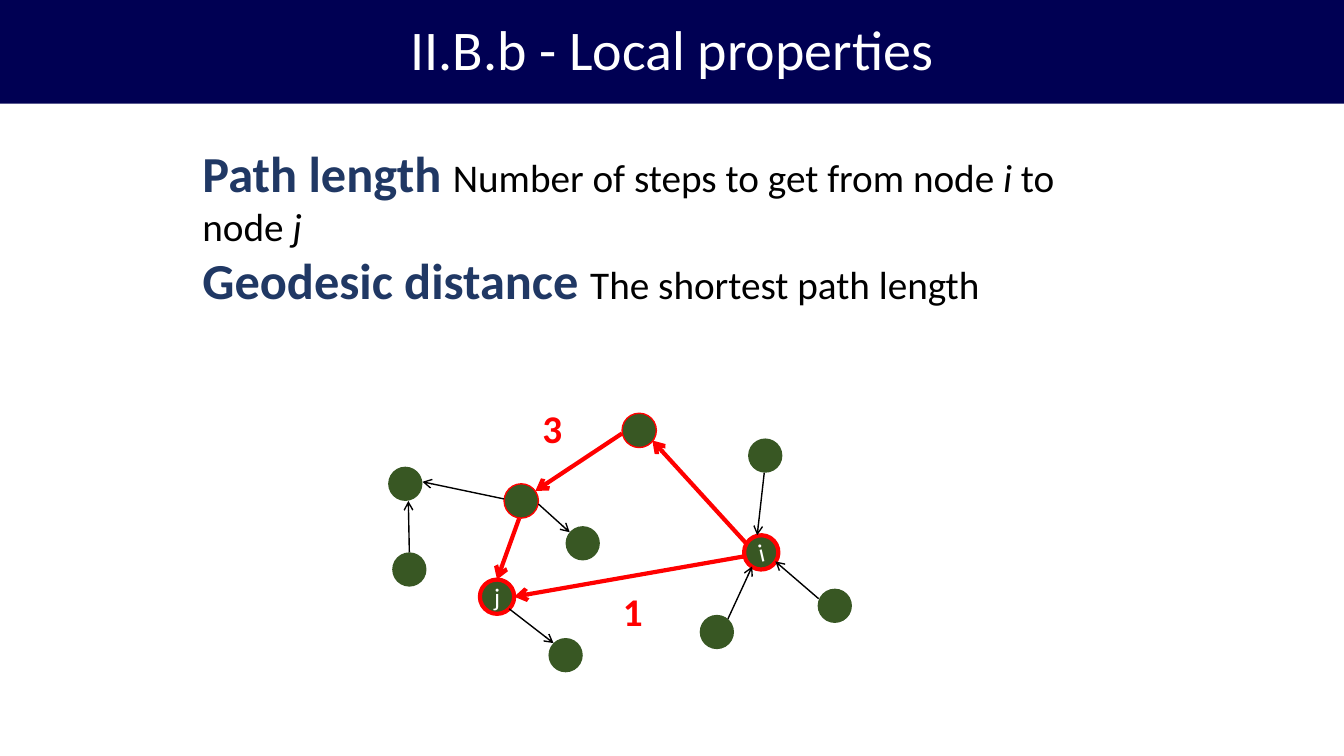
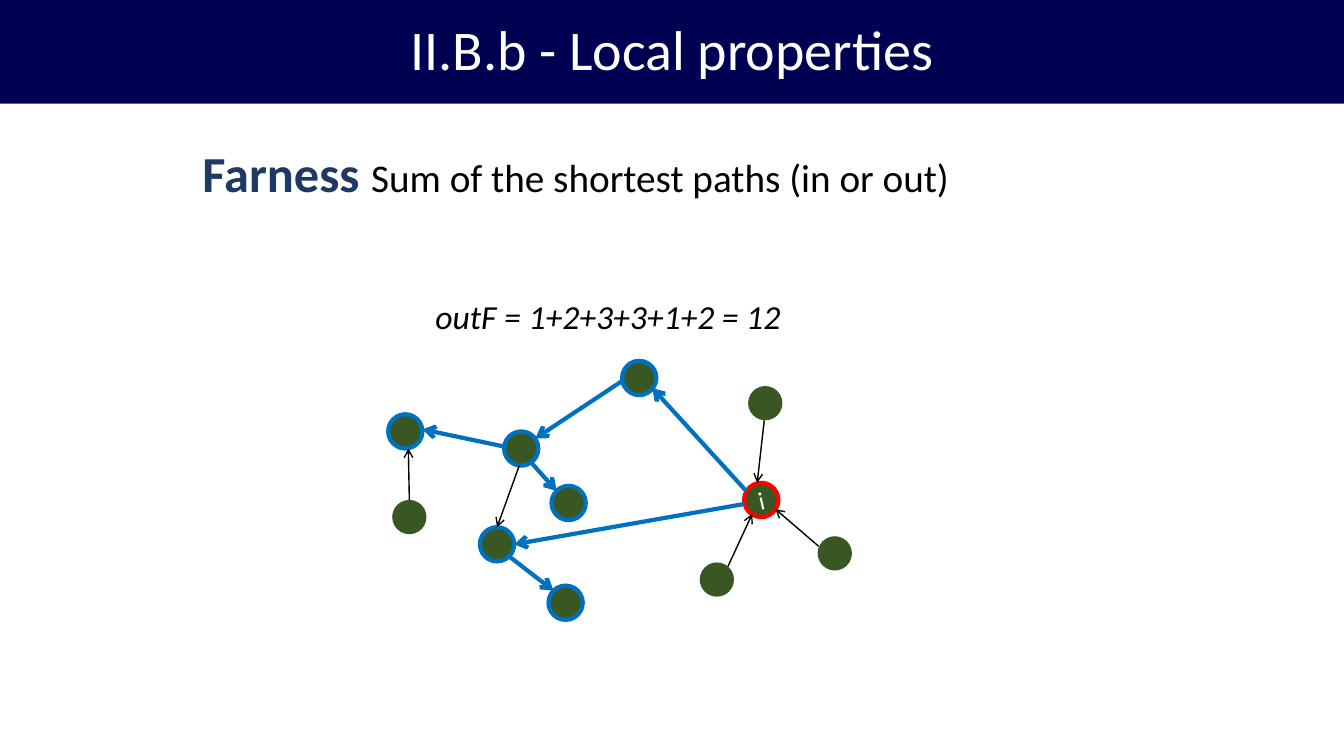
from lxml import etree
from pptx import Presentation
from pptx.dml.color import RGBColor
from pptx.enum.shapes import MSO_CONNECTOR, MSO_SHAPE
from pptx.enum.text import MSO_ANCHOR, PP_ALIGN
from pptx.oxml.ns import qn
from pptx.util import Inches, Pt

RECTANGLE, OVAL = MSO_SHAPE.RECTANGLE, MSO_SHAPE.OVAL
STRAIGHT = MSO_CONNECTOR.STRAIGHT
MIDDLE, LEFT, CENTER = MSO_ANCHOR.MIDDLE, PP_ALIGN.LEFT, PP_ALIGN.CENTER

COLORS = {"band": "000053", "term": "203864", "node": "385723", "text": "000000",
          "white": "FFFFFF", "red": "FF0000", "blue": "0070C0"}
FONT = "Calibri"
TITLE = "II.B.b - Local properties"
NODE_SIZE = 0.34
TEXT_LEFT, TEXT_WIDTH = 1.91, 9.36
THICK, THIN = 3, 1

# Network shared by both slides: left and top of each node
NODES = {
    "j": (4.76, 5.75), "below j": (5.44, 6.33), "below i": (6.94, 6.1),
    "i": (7.38, 5.31), "hub": (5, 4.8), "west": (3.85, 4.63),
    "southwest": (3.89, 5.48), "leaf": (5.61, 5.22), "top": (6.17, 4.1),
    "above i": (7.42, 4.35), "east": (8.11, 5.84),
}
TILTS = {"i": 347.1}
# Start and end of each arrow, on the rims of the two nodes
EDGES = {
    ("hub", "west"): ((5, 4.95), (4.19, 4.78)),
    ("southwest", "west"): ((4.06, 5.48), (4.05, 4.97)),
    ("hub", "j"): ((5.15, 5.14), (4.93, 5.75)),
    ("hub", "leaf"): ((5.34, 5), (5.65, 5.28)),
    ("top", "hub"): ((6.17, 4.3), (5.31, 4.87)),
    ("j", "below j"): ((5.05, 6.04), (5.49, 6.38)),
    ("i", "top"): ((7.4, 5.39), (6.47, 4.37)),
    ("below i", "i"): ((7.22, 6.14), (7.46, 5.62)),
    ("above i", "i"): ((7.58, 4.69), (7.51, 5.31)),
    ("east", "i"): ((8.12, 5.94), (7.69, 5.57)),
    ("i", "j"): ((7.38, 5.52), (5.1, 5.92)),
}

# Definitions: top, height, term, runs of (text, italic)
# Notes: left, top, width, height, text, format
SLIDES = [
    {
        "definitions": [
            (1.36, 1.18, "Path length ",
             [("Number of steps to get from node ", False), ("i", True),
              (" to node ", False), ("j", True)]),
            (2.42, 0.71, "Geodesic distance ", [("The shortest path length", False)]),
        ],
        "notes": [
            (5.28, 3.96, 0.55, 0.57, "3", {"size": 28, "color": "red", "bold": True}),
            (6.08, 5.78, 0.55, 0.57, "1", {"size": 28, "color": "red", "bold": True}),
        ],
        "shift": 0, "accent": "red", "labels": ("i", "j"),
        "rims": {"i": ("red", THICK), "j": ("red", THICK),
                 "hub": ("red", THIN), "top": ("red", THIN)},
        "marked": [("i", "top"), ("top", "hub"), ("hub", "j"), ("i", "j")],
        "moved_nodes": {}, "moved_edges": {},
    },
    {
        "definitions": [
            (1.36, 0.71, "Farness ", [("Sum of the shortest paths (in or out)", False)]),
        ],
        "notes": [
            (4.22, 2.89, 3.84, 0.5, "outF = 1+2+3+3+1+2 = 12", {"size": 24, "italic": True}),
        ],
        "shift": -0.52, "accent": "blue", "labels": ("i",),
        "rims": {"i": ("red", THICK)}
        | {name: ("blue", THICK) for name in ("j", "below j", "hub", "west", "leaf", "top")},
        "marked": [("i", "top"), ("top", "hub"), ("hub", "west"), ("hub", "leaf"),
                   ("i", "j"), ("j", "below j")],
        "moved_nodes": {"leaf": (5.47, 5.34)},
        "moved_edges": {("hub", "leaf"): ((5.27, 5.11), (5.52, 5.39))},
    },
]


def rgb(name):
    return RGBColor.from_string(COLORS[name])


def add_span(para, text, size=28, color="text", bold=False, italic=False):
    span = para.add_run()
    span.text = text
    font = span.font
    font.name, font.size, font.bold, font.italic = FONT, Pt(size), bold, italic
    font.color.rgb = rgb(color)


def add_shape(page, kind, left, top, width, height, fill, rim=None):
    shape = page.shapes.add_shape(kind, Inches(left), Inches(top), Inches(width), Inches(height))
    shape.shadow.inherit = False
    shape.fill.solid()
    shape.fill.fore_color.rgb = rgb(fill)
    if rim:
        color, weight = rim
        shape.line.color.rgb = rgb(color)
        shape.line.width = Pt(weight)
    else:
        shape.line.fill.background()
    frame = shape.text_frame
    frame.vertical_anchor = MIDDLE
    frame.paragraphs[0].alignment = CENTER
    return shape


def add_box(page, left, top, width, height):
    box = page.shapes.add_textbox(Inches(left), Inches(top), Inches(width), Inches(height))
    box.text_frame.word_wrap = True
    para = box.text_frame.paragraphs[0]
    para.alignment = LEFT
    return para


def add_arrow(page, start, end, color, weight):
    arrow = page.shapes.add_connector(STRAIGHT, *(Inches(value) for value in (*start, *end)))
    arrow.line.color.rgb = rgb(color)
    arrow.line.width = Pt(weight)
    etree.SubElement(arrow.line._get_or_add_ln(), qn("a:tailEnd"), type="arrow")
    etree.SubElement(arrow._element.spPr, qn("a:effectLst"))


def add_title(page):
    band = add_shape(page, RECTANGLE, 0, 0, 13.33, 1.03, "band")
    para = band.text_frame.paragraphs[0]
    para.line_spacing = 0.9
    add_span(para, TITLE, size=40, color="white")


def add_network(page, content):
    shift = content["shift"]
    for name, (left, top) in (NODES | content["moved_nodes"]).items():
        node = add_shape(page, OVAL, left, top + shift, NODE_SIZE, NODE_SIZE,
                         "node", content["rims"].get(name))
        node.rotation = TILTS.get(name, 0)
        if name in content["labels"]:
            frame = node.text_frame
            frame.margin_left = frame.margin_right = frame.margin_top = frame.margin_bottom = 0
            frame.word_wrap = False
            add_span(frame.paragraphs[0], name, size=18, color="white")

    for edge, ends in (EDGES | content["moved_edges"]).items():
        start, end = ((x, y + shift) for x, y in ends)
        color, weight = (content["accent"], THICK) if edge in content["marked"] else ("text", THIN)
        add_arrow(page, start, end, color, weight)


def main():
    deck = Presentation()
    deck.slide_width, deck.slide_height = Inches(13.33), Inches(7.5)
    for content in SLIDES:
        page = deck.slides.add_slide(deck.slide_layouts[6])
        add_title(page)

        # Definitions
        for top, height, term, spans in content["definitions"]:
            para = add_box(page, TEXT_LEFT, top, TEXT_WIDTH, height)
            add_span(para, term, size=36, color="term", bold=True)
            for text, italic in spans:
                add_span(para, text, italic=italic)

        # Network with its path lengths or formula
        add_network(page, content)
        for left, top, width, height, text, style in content["notes"]:
            add_span(add_box(page, left, top, width, height), text, **style)
    deck.save("out.pptx")


if __name__ == "__main__":
    main()
